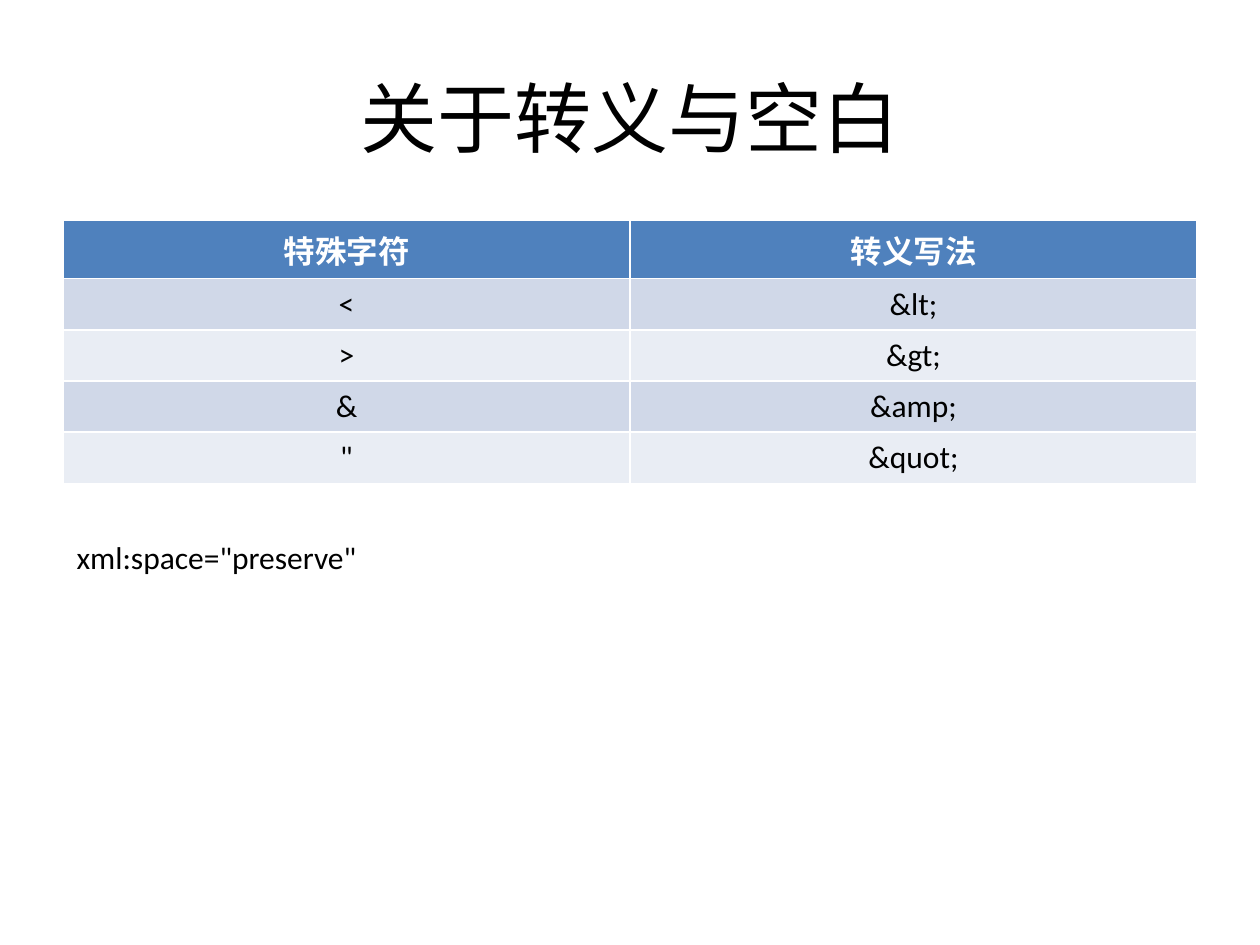
from typing import NamedTuple

from pptx import Presentation
from pptx.dml.color import RGBColor
from pptx.enum.text import MSO_ANCHOR, MSO_AUTO_SIZE, PP_ALIGN
from pptx.util import Inches, Pt

LEFT, CENTER = PP_ALIGN.LEFT, PP_ALIGN.CENTER
MIDDLE = MSO_ANCHOR.MIDDLE
GROW = MSO_AUTO_SIZE.SHAPE_TO_FIT_TEXT
NO_FIT = MSO_AUTO_SIZE.NONE
TITLE_ONLY = 5

FONT = "Calibri"
BLACK, WHITE = "000000", "FFFFFF"
HEADER_FILL = "4F81BD"
BAND_FILLS = ("D0D8E8", "E9EDF4")


class Escape(NamedTuple):
    char: str
    entity: str


HEADER = Escape("特殊字符", "转义写法")
ESCAPES = [
    Escape("<", "&lt;"),
    Escape(">", "&gt;"),
    Escape("&", "&amp;"),
    Escape('"', "&quot;"),
]


def rgb(color: str) -> RGBColor:
    return RGBColor.from_string(color)


def write(tf, text: str, size: float = 18, color: str = BLACK,
          bold: bool = False, align: PP_ALIGN = LEFT) -> None:
    p = tf.paragraphs[0]
    p.alignment = align
    r = p.add_run()
    r.text = text
    r.font.name = FONT
    r.font.size = Pt(size)
    r.font.bold = bold
    r.font.color.rgb = rgb(color)


def fill_row(table, row: int, escape: Escape, fill: str,
             color: str = BLACK, bold: bool = False) -> None:
    for col, text in enumerate(escape):
        cell = table.cell(row, col)
        cell.fill.solid()
        cell.fill.fore_color.rgb = rgb(fill)
        write(cell.text_frame, text, color=color, bold=bold, align=CENTER)


def add_escape_table(slide) -> None:
    table = slide.shapes.add_table(
        len(ESCAPES) + 1, len(HEADER),
        Inches(0.5), Inches(1.75), Inches(9), Inches(2.03)).table
    fill_row(table, 0, HEADER, HEADER_FILL, color=WHITE, bold=True)
    for i, escape in enumerate(ESCAPES):
        fill_row(table, i + 1, escape, BAND_FILLS[i % len(BAND_FILLS)])


def main() -> None:
    prs = Presentation()
    prs.slide_width, prs.slide_height = Inches(10), Inches(7.5)
    slide = prs.slides.add_slide(prs.slide_layouts[TITLE_ONLY])

    title = slide.shapes.title
    title.left, title.top = Inches(0.5), Inches(0.3)
    title.width, title.height = Inches(9), Inches(1.25)
    title.text_frame.vertical_anchor = MIDDLE
    title.text_frame.auto_size = NO_FIT
    write(title.text_frame, "关于转义与空白", size=44, align=CENTER)

    add_escape_table(slide)

    note = slide.shapes.add_textbox(
        Inches(0.51), Inches(4.22), Inches(9.06), Inches(0.4))
    note.text_frame.word_wrap = True
    note.text_frame.auto_size = GROW
    write(note.text_frame, 'xml:space="preserve"')

    prs.save("out.pptx")


if __name__ == "__main__":
    main()
